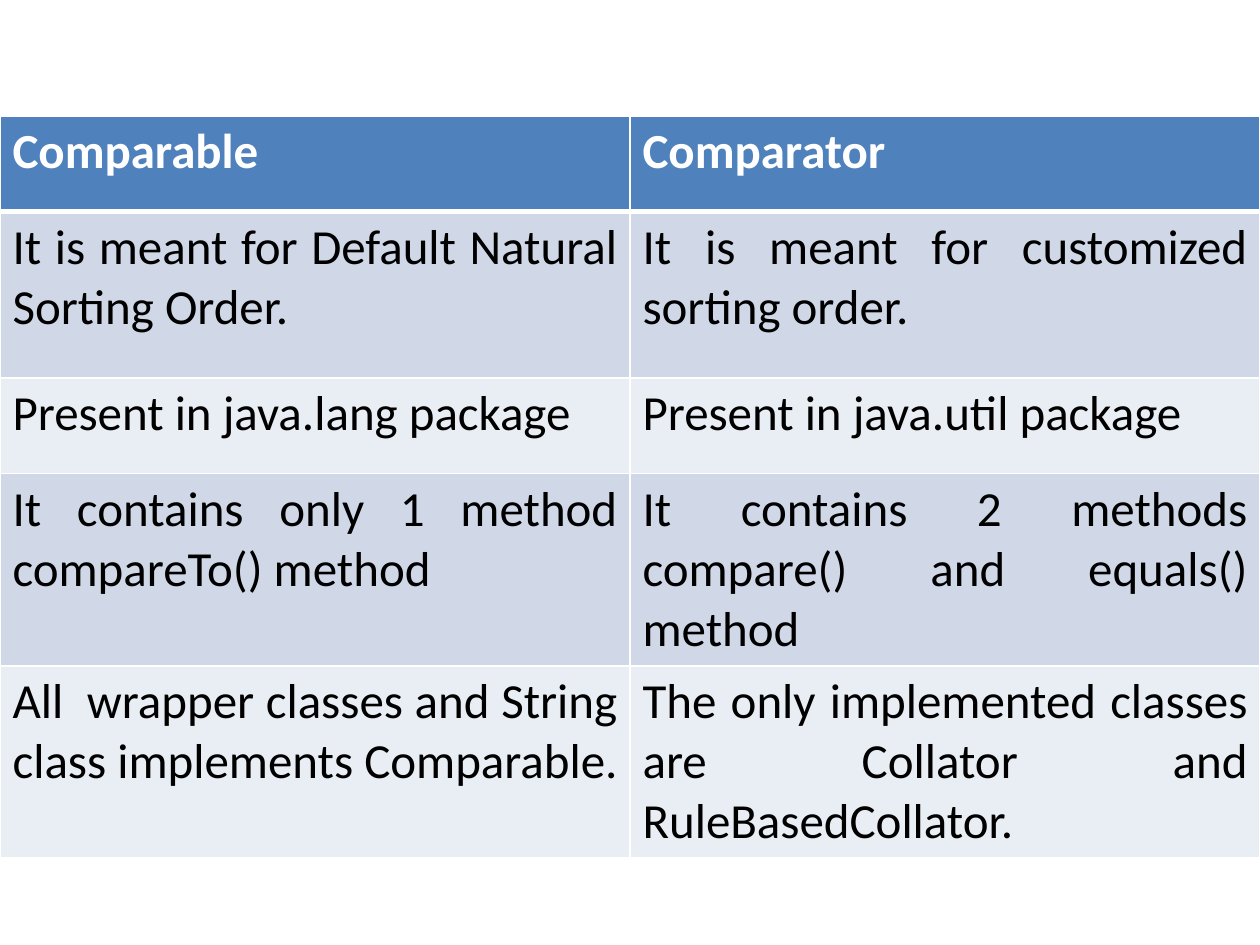
from lxml import etree
from pptx import Presentation
from pptx import util as u
from pptx.dml.color import RGBColor
from pptx.enum import text
from pptx.oxml.ns import qn

ROWS = [
    ("Comparable", "Comparator"),
    ("It is meant for Default Natural Sorting Order.",
     "It is meant for customized sorting order."),
    ("Present in java.lang package", "Present in java.util package"),
    ("It contains only 1 method compareTo() method",
     "It contains 2 methods compare() and equals() method"),
    ("All  wrapper classes and String class implements Comparable.",
     "The only implemented classes are Collator and RuleBasedCollator."),
]
HEIGHTS = [0.76, 1.32, 0.76, 1.32, 1.33]
HEAD, DARK, LIGHT = "4F81BD", "D0D8E8", "E9EDF4"
WHITE, BLACK = "FFFFFF", "000000"


def paint(fill, color):
    fill.solid()
    fill.fore_color.rgb = RGBColor.from_string(color)


def edge(cell, side, width):
    props = cell._tc.get_or_add_tcPr()
    line = etree.Element(qn("a:ln" + side), w=str(u.Pt(width)))
    solid = etree.SubElement(line, qn("a:solidFill"))
    etree.SubElement(solid, qn("a:srgbClr"), val=WHITE)
    props.insert("LRTB".index(side), line)


def write(cell, words, color, bold):
    para = cell.text_frame.paragraphs[0]
    para.alignment = text.PP_ALIGN.JUSTIFY
    run = para.add_run()
    run.text = words
    run.font.name = "Calibri"
    run.font.size = u.Pt(28)
    run.font.bold = bold
    run.font.color.rgb = RGBColor.from_string(color)


def style(cell, row):
    top = row == 0
    paint(cell.fill, HEAD if top else DARK if row % 2 else LIGHT)
    for side in "LRTB":
        thick = (top and side == "B") or (row == 1 and side == "T")
        edge(cell, side, 3 if thick else 1)


def add_grid(slide):
    grid = slide.shapes.add_table(
        len(ROWS), 2, u.Inches(0), u.Inches(0.92),
        u.Inches(10), u.Inches(sum(HEIGHTS))).table
    for row, (pair, height) in enumerate(zip(ROWS, HEIGHTS)):
        grid.rows[row].height = u.Inches(height)
        for col, words in enumerate(pair):
            cell = grid.cell(row, col)
            style(cell, row)
            write(cell, words, BLACK if row else WHITE, row == 0)


def main():
    deck = Presentation()
    deck.slide_width = u.Inches(10)
    deck.slide_height = u.Inches(7.5)
    slide = deck.slides.add_slide(deck.slide_layouts[6])
    add_grid(slide)
    deck.save("out.pptx")


main()
